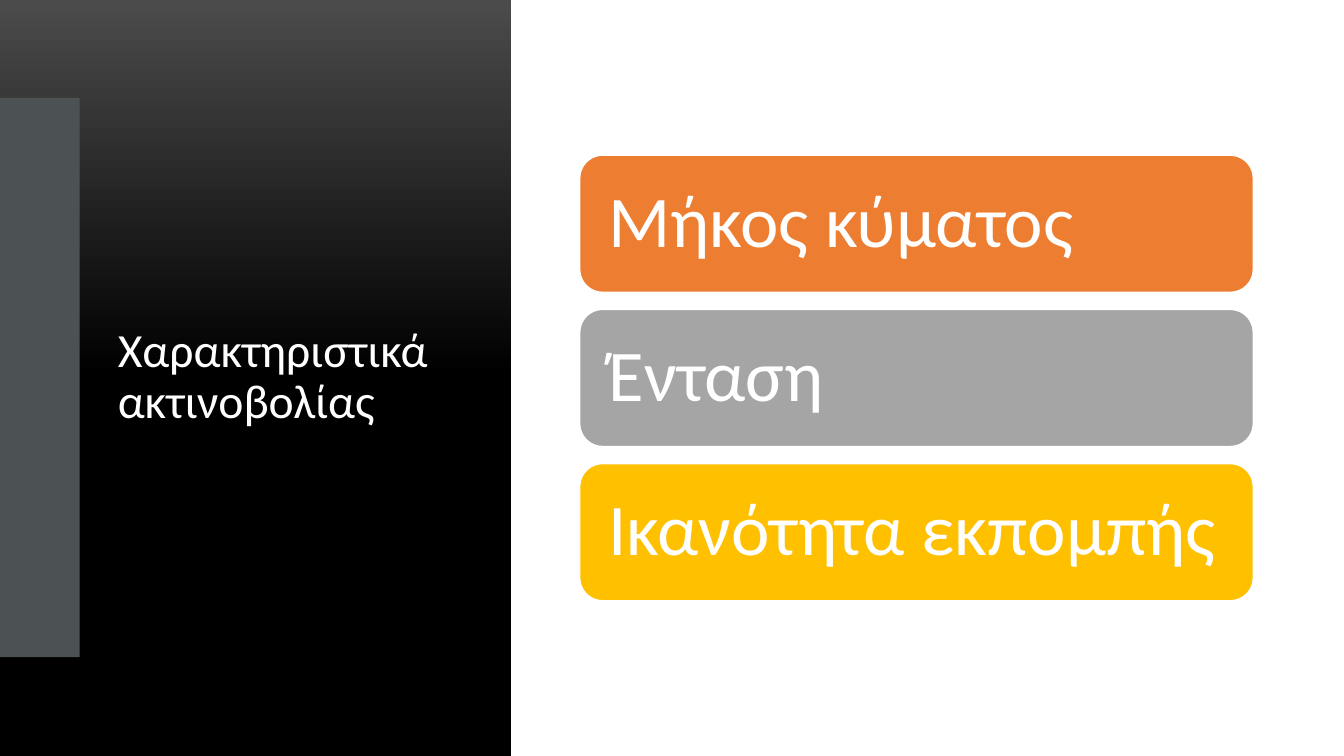
from dataclasses import dataclass

from pptx import Presentation
from pptx.dml.color import RGBColor
from pptx.enum.shapes import MSO_SHAPE
from pptx.enum.text import MSO_ANCHOR, PP_ALIGN
from pptx.util import Inches, Pt

TITLE = "Χαρακτηριστικά ακτινοβολίας"
PROPERTIES = [
    ("Μήκος κύματος", "ED7D31"),
    ("Ένταση", "A5A5A5"),
    ("Ικανότητα εκπομπής", "FFC000"),
]


@dataclass(frozen=True)
class Theme:
    font: str = "Calibri"
    title_size: int = 34
    property_size: int = 52
    light: str = "FFFFFF"
    panel_top: str = "4B4B4B"
    panel_bottom: str = "000000"
    accent: str = "4C5254"


theme = Theme()


def add_block(preset, left, top, width, height, color):
    block = slide.shapes.add_shape(
        preset, Inches(left), Inches(top), Inches(width), Inches(height))
    block.shadow.inherit = False
    block.fill.solid()
    block.fill.fore_color.rgb = RGBColor.from_string(color)
    block.line.fill.background()
    return block


def write(holder, words, size, side_inset):
    frame = holder.text_frame
    frame.word_wrap = True
    frame.vertical_anchor = MSO_ANCHOR.MIDDLE
    frame.margin_left = frame.margin_right = Inches(side_inset)
    frame.margin_top = frame.margin_bottom = 0
    paragraph = frame.paragraphs[0]
    paragraph.text = words
    paragraph.alignment = PP_ALIGN.LEFT
    paragraph.line_spacing = 0.9
    paragraph.font.name = theme.font
    paragraph.font.size = Pt(size)
    paragraph.font.color.rgb = RGBColor.from_string(theme.light)


deck = Presentation()
deck.slide_width, deck.slide_height = Inches(13.33), Inches(7.5)
slide = deck.slides.add_slide(deck.slide_layouts[6])

panel = add_block(MSO_SHAPE.RECTANGLE, 0, 0, 5.07, 7.5, theme.panel_bottom)
panel.fill.gradient()
panel.fill.gradient_angle = 270
shades = [(0, theme.panel_top), (0.5, theme.panel_bottom)]
for stop, (position, color) in zip(panel.fill.gradient_stops, shades):
    stop.position = position
    stop.color.rgb = RGBColor.from_string(color)

BAND_TOP, BAND_HEIGHT = 0.97, 5.55
title = slide.shapes.add_textbox(
    Inches(1.07), Inches(BAND_TOP), Inches(3.43), Inches(BAND_HEIGHT))
write(title, TITLE, theme.title_size, 0.1)
add_block(MSO_SHAPE.RECTANGLE, 0, BAND_TOP, 0.79, BAND_HEIGHT, theme.accent)

CARD_LEFT, CARD_TOP, CARD_WIDTH, CARD_HEIGHT, CARD_PITCH = 5.75, 1.54, 6.68, 1.36, 1.53
for row, (words, color) in enumerate(PROPERTIES):
    card = add_block(MSO_SHAPE.ROUNDED_RECTANGLE, CARD_LEFT, CARD_TOP + row * CARD_PITCH,
                     CARD_WIDTH, CARD_HEIGHT, color)
    card.line.color.rgb = RGBColor.from_string(theme.light)
    card.line.width = Pt(1)
    write(card, words, theme.property_size, 0.22)

deck.save("out.pptx")
